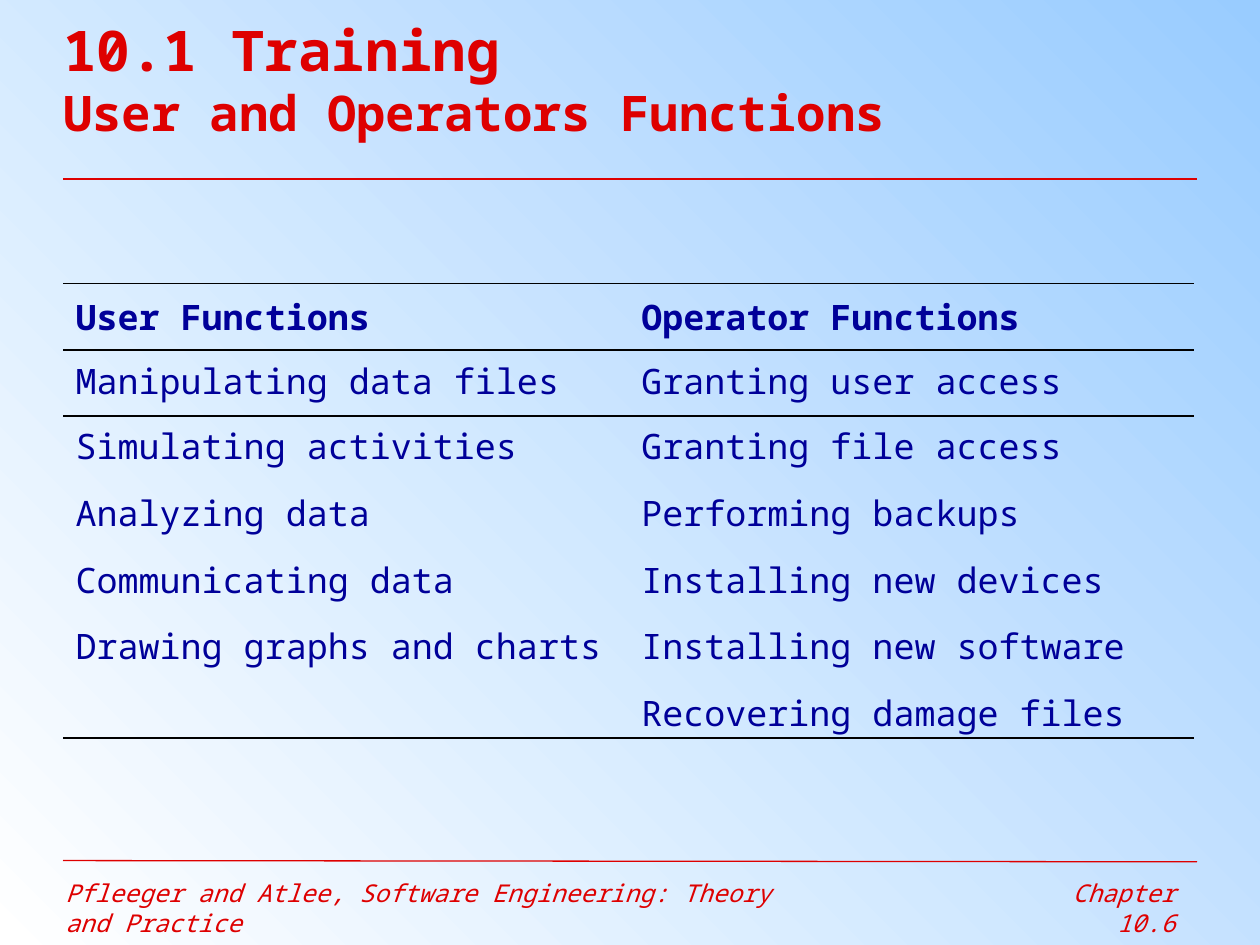
"""Builds the slide on user and operator functions."""
from lxml import etree
from pptx import Presentation
from pptx.dml.color import RGBColor
from pptx.enum.dml import MSO_THEME_COLOR
from pptx.enum.shapes import MSO_CONNECTOR
from pptx.enum.text import MSO_ANCHOR, MSO_AUTO_SIZE, PP_ALIGN
from pptx.oxml.ns import qn
from pptx.util import Inches, Pt

STRAIGHT = MSO_CONNECTOR.STRAIGHT
MIDDLE, TOP = MSO_ANCHOR.MIDDLE, MSO_ANCHOR.TOP
LEFT, RIGHT = PP_ALIGN.LEFT, PP_ALIGN.RIGHT
FIXED = MSO_AUTO_SIZE.NONE
BLACK = MSO_THEME_COLOR.TEXT_1
FONT = "Noto Sans Mono"
COLORS = {"red": "DE0000", "navy": "000099", "rule": "000000",
          "sky": "99CCFF", "white": "FFFFFF"}
PLAIN = "{2D5ABB26-0587-4C30-8999-92F81FD0307C}"
HEADS = ("User Functions", "Operator Functions")
TASKS = [
    ("Manipulating data files", "Granting user access"),
    ("Simulating activities", "Granting file access"),
    ("Analyzing data", "Performing backups"),
    ("Communicating data", "Installing new devices"),
    ("Drawing graphs and charts", "Installing new software"),
    ("", "Recovering damage files"),
]
HEIGHTS = [0.53, 0.52, 0.53, 0.53, 0.53, 0.53, 0.44]


def color(name):
    return RGBColor.from_string(COLORS[name])


def write(para, text, size=20, tint="red", bold=False, italic=False,
          align=LEFT, before=0):
    para.alignment = align
    para.space_before = Pt(before)
    run = para.add_run()
    run.text = text
    font = run.font
    font.name, font.size = FONT, Pt(size)
    font.bold, font.italic = bold, italic
    font.color.rgb = color(tint)


class Page:
    def __init__(self, deck):
        self.slide = deck.slides.add_slide(deck.slide_layouts[5])
        self.shapes = self.slide.shapes

    def back(self, start, end, angle):
        fill = self.slide.background.fill
        fill.gradient()
        fill.gradient_angle = angle
        for stop, name, place in zip(fill.gradient_stops, (start, end), (0, 1)):
            stop.color.rgb = color(name)
            stop.position = place

    def title(self, top, sub):
        shape = self.shapes.title
        shape.left, shape.top = Inches(0.5), Inches(0)
        shape.width, shape.height = Inches(8.99), Inches(1.24)
        frame = shape.text_frame
        frame.auto_size, frame.vertical_anchor = FIXED, MIDDLE
        frame.margin_left = frame.margin_right = 0
        frame.margin_top = frame.margin_bottom = 0
        para = frame.paragraphs[0]
        write(para, top, size=32, bold=True)
        para.add_line_break()
        write(para, sub, size=28, bold=True)

    def note(self, text, left, width, align=LEFT):
        box = self.shapes.add_textbox(Inches(left), Inches(6.92),
                                      Inches(width), Inches(0.34))
        box.text_frame.word_wrap = True
        write(box.text_frame.paragraphs[0], text, size=14, italic=True,
              align=align)

    def line(self, start, end, width):
        line = self.shapes.add_connector(
            STRAIGHT, Inches(0.5), Inches(start), Inches(9.5), Inches(end))
        line.line.color.rgb = color("red")
        line.line.width = Pt(width)
        etree.SubElement(line.element.spPr, qn("a:effectLst"))

    def edge(self, cell, sides):
        props = cell._tc.get_or_add_tcPr()
        for spot, side in enumerate(sides):
            line = etree.Element(qn("a:ln" + side), w=str(Pt(1.08)))
            fill = etree.SubElement(line, qn("a:solidFill"))
            etree.SubElement(fill, qn("a:srgbClr"), val=COLORS["rule"])
            props.insert(spot, line)

    def table(self, rows, heights):
        frame = self.shapes.add_table(
            len(rows), len(rows[0]), Inches(0.5), Inches(2.25),
            Inches(8.98), Inches(sum(heights)))
        next(frame.element.iter(qn("a:tableStyleId"))).text = PLAIN
        grid = frame.table
        grid.first_row = grid.horz_banding = False
        sides = {0: "TB", 1: "T", len(rows) - 1: "B"}
        for r, (row, height) in enumerate(zip(rows, heights)):
            grid.rows[r].height = Inches(height)
            for c, text in enumerate(row):
                cell = grid.cell(r, c)
                cell.fill.background()
                cell.vertical_anchor = TOP if r else MIDDLE
                if text:
                    write(cell.text_frame.paragraphs[0], text, tint="navy",
                          bold=r == 0, before=7)
                self.edge(cell, sides.get(r, ""))


def main():
    deck = Presentation()
    deck.slide_width, deck.slide_height = Inches(10), Inches(7.5)
    page = Page(deck)
    page.back("sky", "white", 225)
    page.note("Pfleeger and Atlee, Software Engineering: Theory and Practice",
              0.42, 6)
    page.line(6.83, 6.84, 0.75)
    page.line(1.42, 1.42, 1.5)
    page.note("Chapter 10.6", 7.83, 1.6, RIGHT)
    page.title("10.1 Training", "User and Operators Functions")
    page.table([HEADS, *TASKS], HEIGHTS)
    deck.save("out.pptx")


if __name__ == "__main__":
    main()
